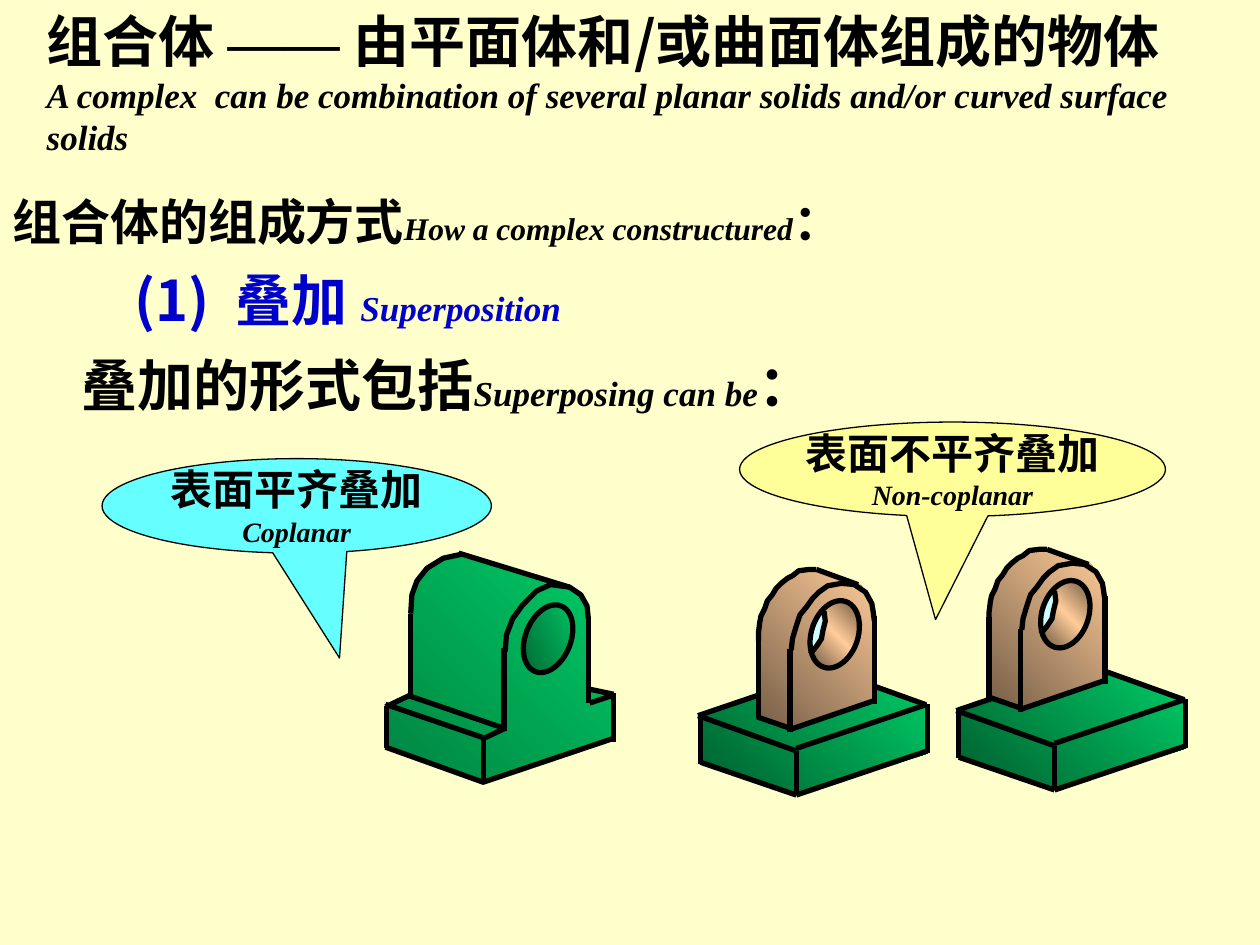
"""Build a slide on how combined solids are made by superposition."""
from copy import deepcopy

from lxml.etree import SubElement
from pptx import Presentation
from pptx.dml.color import RGBColor
from pptx.enum.shapes import MSO_CONNECTOR, MSO_SHAPE
from pptx.enum.text import MSO_ANCHOR, MSO_AUTO_SIZE, PP_ALIGN
from pptx.oxml.ns import qn
from pptx.util import Pt

PX = 9144
SANS, SERIF = "Noto Sans CJK SC", "Times New Roman"
BLACK, BLUE = "000000", "0000CC"
LINE, OVAL = MSO_CONNECTOR.STRAIGHT, MSO_SHAPE.OVAL
BUBBLE = MSO_SHAPE.OVAL_CALLOUT
TOP, MIDDLE = MSO_ANCHOR.TOP, MSO_ANCHOR.MIDDLE
LEFT, CENTER = PP_ALIGN.LEFT, PP_ALIGN.CENTER
GROW = MSO_AUTO_SIZE.SHAPE_TO_FIT_TEXT

GREEN = [(0, "005E2F"), (1, "00CC66")]
LEAF = [(0, "008442"), (1, "00CC66")]
TAN = [(0, "765E47"), (1, "FFCC99")]
BORE = [(0, "765E47"), (0.5, "FFCC99"), (1, "765E47")]

TITLE = [
    [("组合体 ", 32, SANS), ("—— ", 32, SERIF), ("由平面体和/或曲面体组成的物体", 32, SANS)],
    [("A complex  can be combination of several planar solids and/or curved surface solids",
      20, SERIF, True)],
]
NOTES = [
    ((0, 147, 828, 57), BLACK,
     [("组合体的组成方式", 28, SANS), ("How a complex constructured", 18, SERIF, True),
      ("：", 28, SANS)]),
    ((97, 206, 505, 63), BLUE,
     [("(1)  叠加 ", 32, SANS), ("Superposition", 20, SERIF, True)]),
    ((0, 273, 669, 63), BLACK,
     [("　 叠加的形式包括", 32, SANS), ("Superposing can be", 20, SERIF, True),
      ("：", 32, SANS)]),
]
CALLS = [
    ((81, 364, 309, 75), (0.11, 1.61), "66FFFF", "表面平齐叠加", "Coplanar"),
    ((587, 335, 338, 75), (-0.04, 1.59), "FFFF99", "表面不平齐叠加", "Non-coplanar"),
]

BASE = {
    "faces": [
        (GREEN, [(556, 568), (556, 604), (632, 631), (736, 598), (736, 559), (662, 533)]),
    ],
    "lines": [
        [(554, 568), (657, 533)], [(734, 559), (656, 531)], [(632, 594), (736, 559)],
        [(632, 596), (554, 568)], [(556, 568), (556, 606)], [(556, 605), (632, 631)],
        [(632, 596), (632, 631)], [(736, 559), (736, 598)], [(736, 596), (632, 631)],
    ],
}
RING = {
    "faces": [
        (TAN, [(601, 570), (628, 578), (694, 556), (695, 490), (692, 478), (688, 471),
               (682, 463), (674, 463), (648, 452), (641, 453), (624, 459), (615, 467),
               (607, 478), (602, 492), (601, 500)]),
        ("CCFFFF", [(654, 486), (656, 497), (653, 503), (652, 509), (648, 513), (644, 516),
                    (643, 509), (643, 502), (646, 497), (648, 491)]),
        (BORE, [(653, 485), (656, 493), (654, 503), (651, 511), (646, 517), (646, 524),
                (653, 529), (662, 530), (673, 524), (680, 513), (682, 501), (681, 488),
                (677, 481), (672, 478), (663, 478), (657, 481)]),
    ],
    "hole": ((644, 476, 37, 55), 18.5, None),
    "lines": [
        [(601, 569), (627, 578)], [(627, 579), (694, 556)], [(627, 581), (627, 515)],
        [(694, 559), (694, 489)], [(602, 570), (602, 506)], [(648, 452), (681, 464)],
        [(694, 493), (693, 485), (692, 479), (687, 470), (678, 464), (668, 463), (657, 465),
         (650, 470), (645, 475), (640, 482), (635, 488), (632, 497), (629, 507), (628, 516)],
        [(648, 452), (642, 452), (634, 453), (629, 457), (625, 459), (620, 463), (616, 467),
         (613, 472), (609, 477), (607, 483), (604, 489), (603, 494), (602, 502), (602, 509)],
        [(654, 485), (655, 493), (653, 501), (652, 507), (648, 513), (643, 519)],
    ],
}
BODY = {
    "faces": [
        (LEAF, [(308, 595), (384, 621), (487, 586), (486, 553), (468, 547), (469, 556),
                (467, 492), (465, 479), (459, 472), (450, 464), (441, 463), (362, 439),
                (351, 443), (344, 448), (335, 457), (330, 467), (326, 476), (325, 483),
                (324, 552), (307, 559)]),
    ],
    "hole": ((417, 479, 36, 56), 21.6, GREEN),
    "lines": [
        [(306, 559), (385, 586)], [(307, 560), (307, 594)], [(306, 593), (384, 621)],
        [(384, 586), (384, 621)], [(306, 561), (327, 551)], [(324, 552), (400, 578)],
        [(384, 586), (401, 578)], [(468, 558), (486, 552)], [(487, 550), (487, 589)],
        [(487, 586), (383, 621)], [(467, 558), (467, 490)], [(364, 439), (452, 466)],
        [(326, 552), (326, 487)], [(487, 551), (468, 547)], [(400, 580), (400, 514)],
        [(467, 491), (466, 481), (461, 472), (452, 466), (437, 464), (426, 469), (415, 480),
         (407, 491), (402, 504), (401, 517)],
        [(366, 440), (352, 443), (339, 451), (331, 461), (327, 472), (326, 487)],
    ],
}
GROUPS = [
    [(BASE, 0, 0), (RING, 0, 0), (BASE, 205, -4), (RING, 183, -16)],
    [(BODY, 0, 0)],
]


def rgb(code):
    """Turn a hex string into a colour."""
    return RGBColor.from_string(code)


def emu(box):
    """Scale px lengths to EMU."""
    return [n * PX for n in box]


def write(frame, rows, color=BLACK, align=LEFT):
    """Fill a text frame with rows of styled runs."""
    for i, row in enumerate(rows):
        para = frame.paragraphs[0] if i == 0 else frame.add_paragraph()
        para.alignment = align
        for text, size, face, *slant in row:
            run = para.add_run()
            run.text = text
            font = run.font
            font.size, font.name, font.bold = Pt(size), face, True
            font.italic = bool(slant)
            font.color.rgb = rgb(color)
            SubElement(run._r.rPr, qn("a:ea"), typeface=face)


def paint(shape, fill, width):
    """Set the fill and outline of a shape."""
    shape.shadow.inherit = False
    if fill is None:
        shape.fill.background()
    elif isinstance(fill, str):
        shape.fill.solid()
        shape.fill.fore_color.rgb = rgb(fill)
    else:
        shape.fill.gradient()
        shape.fill.gradient_angle = 45
        stops = shape._element.spPr.find(".//" + qn("a:gsLst"))
        for _ in fill[2:]:
            stops.append(deepcopy(stops[0]))
        for stop, (pos, code) in zip(shape.fill.gradient_stops, fill):
            stop.position, stop.color.rgb = pos, rgb(code)
    if width:
        shape.line.width = Pt(width)
        shape.line.color.rgb = rgb(BLACK)
    else:
        shape.line.fill.background()


def trace(shapes, pts, fill, width, close):
    """Draw a freeform through the points."""
    form = shapes.build_freeform(*pts[0], scale=PX)
    form.add_line_segments(pts[1:], close=close)
    paint(form.convert_to_shape(), fill, width)


def stroke(shapes, pts):
    """Draw an edge, straight or bent."""
    if len(pts) > 2:
        trace(shapes, pts, None, 3, False)
        return
    edge = shapes.add_connector(LINE, *emu(pts[0] + pts[1]))
    edge.line.width = Pt(3)
    edge.line.color.rgb = rgb(BLACK)
    SubElement(edge._element.spPr, qn("a:effectLst"))


def solid(shapes, part, dx, dy):
    """Draw one solid, shifted by dx and dy."""
    def move(pts):
        return [(x + dx, y + dy) for x, y in pts]

    for fill, pts in part["faces"]:
        trace(shapes, move(pts), fill, 0, True)
    if "hole" in part:
        (x, y, w, h), turn, fill = part["hole"]
        hole = shapes.add_shape(OVAL, *emu((x + dx, y + dy, w, h)))
        hole.rotation = turn
        paint(hole, fill, 3)
    for pts in part["lines"]:
        stroke(shapes, move(pts))


def main():
    """Build and save the slide."""
    deck = Presentation()
    deck.slide_width, deck.slide_height = emu((1000, 750))
    slide = deck.slides.add_slide(deck.slide_layouts[5])
    slide.background.fill.solid()
    slide.background.fill.fore_color.rgb = rgb("FFFFCC")
    shapes = slide.shapes

    title = shapes.title
    title.left, title.top, title.width, title.height = emu((27, 0, 973, 131))
    frame = title.text_frame
    frame.vertical_anchor, frame.auto_size = TOP, GROW
    write(frame, TITLE)

    for box, color, row in NOTES:
        frame = shapes.add_textbox(*emu(box)).text_frame
        frame.word_wrap, frame.auto_size = True, GROW
        write(frame, [row], color)

    for box, tip, fill, name, gloss in CALLS:
        call = shapes.add_shape(BUBBLE, *emu(box))
        call.adjustments[0], call.adjustments[1] = tip
        paint(call, fill, 0.75)
        frame = call.text_frame
        frame.word_wrap, frame.vertical_anchor = False, MIDDLE
        write(frame, [[(name, 24, SANS)], [(gloss, 16, SERIF, True)]], align=CENTER)

    for group in GROUPS:
        inner = shapes.add_group_shape().shapes
        for part, dx, dy in group:
            solid(inner, part, dx, dy)
    deck.save("out.pptx")


if __name__ == "__main__":
    main()
